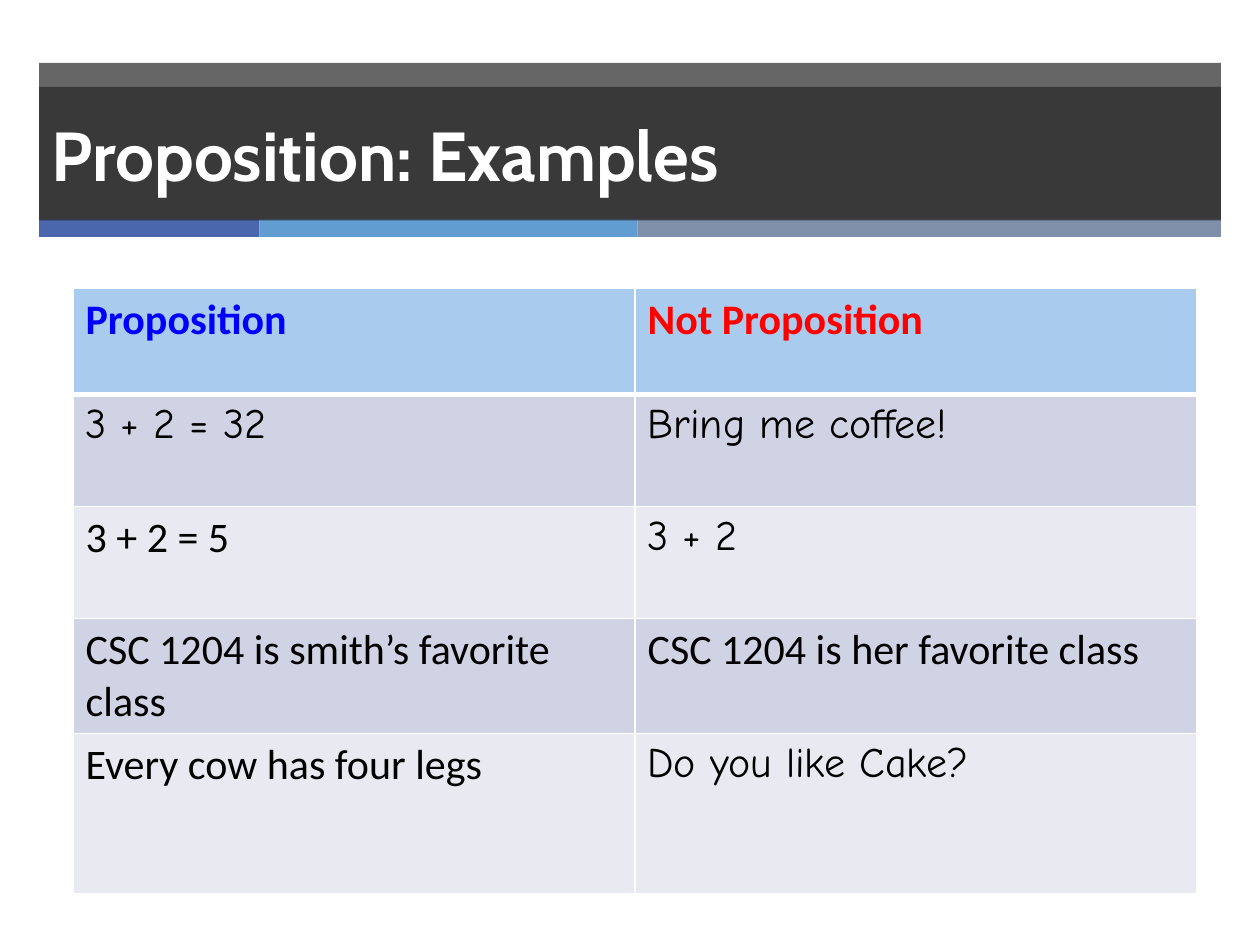
"""Build the slide "Proposition: Examples" with its two-column table."""
from lxml import etree
from pptx import Presentation
from pptx import util as u
from pptx.dml.color import RGBColor
from pptx.enum import shapes, text
from pptx.oxml.ns import qn


def paint(fill, color, alpha=None):
    """Give a fill a solid hex colour, with an optional opacity in percent."""
    fill.solid()
    fill.fore_color.rgb = RGBColor.from_string(color)
    if alpha:
        clr = fill._xPr.find(qn("a:solidFill"))[0]
        etree.SubElement(clr, qn("a:alpha"), val=str(alpha * 1000))


def write(tf, words, color, **fmt):
    """Put one formatted run into a text frame."""
    r = tf.paragraphs[0].add_run()
    r.text = words
    paint(r.font.fill, color)
    for name, value in fmt.items():
        setattr(r.font, name, value)


prs = Presentation()
prs.slide_width, prs.slide_height = u.Inches(10), u.Inches(7.5)
s = prs.slides.add_slide(prs.slide_layouts[5])

bands = [
    (0.31, 0.5, 9.38, 1.24, "262626", 70),
    (0.31, 1.74, 1.75, 0.14, "4A66AC", None),
    (2.06, 1.74, 3, 0.14, "629DD1", None),
    (5.06, 1.74, 4.63, 0.14, "7F8FA9", None),
]
for *box, color, alpha in bands:
    sp = s.shapes.add_shape(shapes.MSO_SHAPE.RECTANGLE, *map(u.Inches, box))
    sp.shadow.inherit = False
    sp.line.fill.background()
    paint(sp.fill, color, alpha)

title = s.shapes.title
s.shapes._spTree.append(title._element)
for name, value in dict(left=0.31, top=0.69, width=9.38, height=1.06).items():
    setattr(title, name, u.Inches(value))
paint(title.fill, "262626", 70)
tf = title.text_frame
frame = dict(word_wrap=True, auto_size=text.MSO_AUTO_SIZE.NONE,
             vertical_anchor=text.MSO_ANCHOR.MIDDLE)
for name, value in frame.items():
    setattr(tf, name, value)
write(tf, "Proposition: Examples", "FFFFFF", name="Cabin", size=u.Pt(39.6), bold=True)
tf.paragraphs[0].alignment = text.PP_ALIGN.LEFT

body, hand = "Calibri", "Comic Neue"
rows = [
    (0.84, [("Proposition", body), ("Not Proposition", body)]),
    (0.89, [("3 + 2 = 32", hand), ("Bring me coffee!", hand)]),
    (0.89, [("3 + 2 = 5", body), ("3 + 2", hand)]),
    (0.91, [("CSC 1204 is smith’s favorite class", body),
            ("CSC 1204 is her favorite class", body)]),
    (1.27, [("Every cow has four legs", body), ("Do you like Cake?", hand)]),
]
header_colors = ["0000FF", "FF0000"]
height = sum(row[0] for row in rows)
table = s.shapes.add_table(len(rows), 2, u.Inches(0.58), u.Inches(2.29),
                           u.Inches(8.92), u.Inches(height)).table
for col in table.columns:
    col.width = u.Inches(4.46)

for i, (row_height, cells) in enumerate(rows):
    table.rows[i].height = u.Inches(row_height)
    for j, (words, font) in enumerate(cells):
        cell = table.cell(i, j)
        tcPr = cell._tc.get_or_add_tcPr()
        for side in "LRTB":
            heavy = (i, side) in [(0, "B"), (1, "T")]
            ln = etree.SubElement(tcPr, qn(f"a:ln{side}"), w=str(u.Pt(3 if heavy else 1)))
            fill = etree.SubElement(ln, qn("a:solidFill"))
            etree.SubElement(fill, qn("a:srgbClr"), val="FFFFFF")
        paint(cell.fill, "A9CCEE" if i == 0 else "D0D3E3" if i % 2 else "E9EAF1")
        write(cell.text_frame, words, "000000" if i else header_colors[j],
              name=font, size=u.Pt(24), bold=i == 0)

prs.save("out.pptx")
